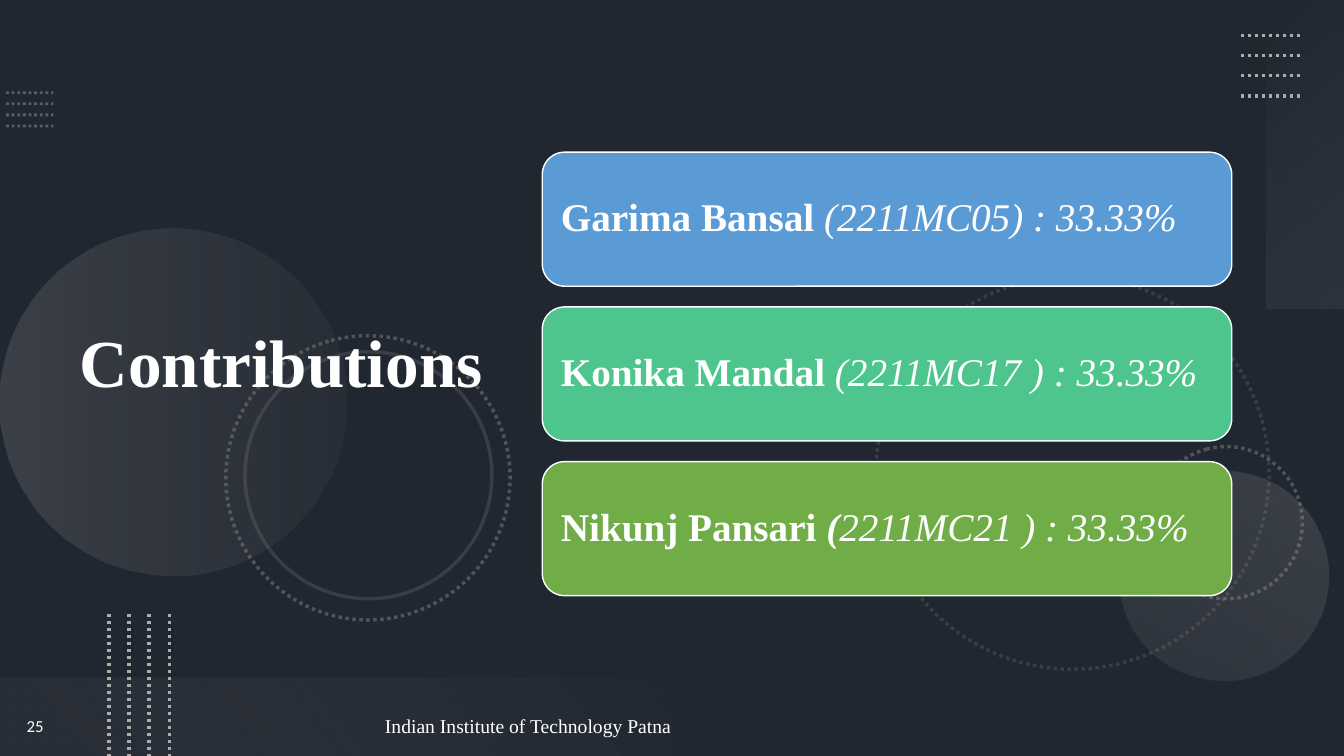
from lxml import etree
from pptx import Presentation
from pptx.dml.color import RGBColor
from pptx.enum.dml import MSO_LINE
from pptx.enum.shapes import MSO_CONNECTOR, MSO_SHAPE
from pptx.enum.text import MSO_ANCHOR, MSO_AUTO_SIZE, PP_ALIGN
from pptx.oxml import parse_xml
from pptx.oxml.ns import nsdecls, qn
from pptx.util import Inches, Pt

RECT, OVAL, ROUND = MSO_SHAPE.RECTANGLE, MSO_SHAPE.OVAL, MSO_SHAPE.ROUNDED_RECTANGLE
DOT, SOLID = MSO_LINE.ROUND_DOT, MSO_LINE.SOLID
LEFT, CENTER = PP_ALIGN.LEFT, PP_ALIGN.CENTER
STRAIGHT = MSO_CONNECTOR.STRAIGHT
WIDE, HIGH = 13.333, 7.5

COLORS = {
    "base": "44546A", "shade": "000000", "white": "FFFFFF",
    "steel": "8497B0", "ash": "AFABAB", "gray": "767171",
    "mist": "F5F5F5", "pearl": "F1F0F0",
    "blue": "5B9BD5", "mint": "4DC58D", "green": "70AD47",
}
SERIF, SANS = "Times New Roman", "Calibri"
BOLD = {"bold": True, "italic": False}
SLANT = {"bold": False, "italic": True}
BOTH = {"bold": True, "italic": True}

TITLE = "Contributions"
FOOTER = "Indian Institute of Technology Patna"
NUMBER = "25"
CARDS = [
    ("blue", [("Garima Bansal ", BOLD), ("(2211MC05) : 33.33%", SLANT)]),
    ("mint", [("Konika Mandal ", BOLD), ("(2211MC17 ) : 33.33%", SLANT)]),
    ("green", [("Nikunj Pansari ", BOLD), ("(", BOTH), ("2211MC21 ) : 33.33%", SLANT)]),
]
CARD_BOX, CARD_STEP = (5.38, 1.51, 6.84, 1.33), 1.535

# left, top, size, dash, opacity
RINGS = [
    (8.69, 2.74, 3.9, DOT, 30),
    (11.41, 4.43, 1.51, DOT, 60),
    (2.24, 3.33, 2.82, DOT, 60),
    (2.43, 3.49, 2.45, SOLID, 30),
]
# shape, box, rotation, angle, stops of (position, color, opacity)
GLOWS = [
    (OVAL, (0, 2.27, 3.44, 3.44), 270, 90, [(0, "ash", 20), (100, "gray", 10)]),
    (OVAL, (11.1, 4.67, 2.08, 2.08), 210, 90, [(0, "ash", 10), (100, "ash", 20)]),
    (RECT, (11.42, 1.14, 3.06, 0.78), 270, 140, [(0, "mist", 0), (100, "ash", 10)]),
    (RECT, (0, 6.72, 6.67, 0.78), 180, 140, [(10, "gray", 10), (100, "pearl", 0)]),
]
# left, top, run (across, down), step (across, down), color, width, opacity
DOTS = [
    (0.06, 0.92, (0.47, 0), (0, 0.11), "steel", 2, 50),
    (12.31, 0.35, (0.6, 0), (0, 0.2), "ash", 2.5, 100),
    (1.08, 6.09, (0, 1.41), (0.2, 0), "ash", 2.5, 100),
]
DOT_ROWS = 4


def rgb(name):
    return RGBColor.from_string(COLORS[name])


def fade(part, share):
    """Set the opacity, in percent, of the solid color inside part."""
    color = next(part.iter(qn("a:srgbClr")))
    etree.SubElement(color, qn("a:alpha")).set("val", str(share * 1000))


def add_form(slide, kind, box, turn=0):
    form = slide.shapes.add_shape(kind, *map(Inches, box))
    form.shadow.inherit = False
    form.rotation = turn
    form.fill.background()
    form.line.fill.background()
    return form


def set_line(line, color, width, dash):
    line.color.rgb = rgb(color)
    line.width = Pt(width)
    line.dash_style = dash


def add_glow(slide, kind, box, turn, angle, stops):
    form = add_form(slide, kind, box, turn)
    marks = "".join(
        f'<a:gs pos="{pos * 1000}"><a:srgbClr val="{COLORS[color]}">'
        f'<a:alpha val="{share * 1000}"/></a:srgbClr></a:gs>'
        for pos, color, share in stops)
    grad = parse_xml(
        f'<a:gradFill {nsdecls("a")} rotWithShape="1"><a:gsLst>{marks}</a:gsLst>'
        f'<a:lin ang="{angle * 60000}" scaled="0"/></a:gradFill>')
    props = form._element.spPr
    props.replace(props.find(qn("a:noFill")), grad)


def add_dots(slide, left, top, run, step, color, width, share):
    for row in range(DOT_ROWS):
        x, y = left + row * step[0], top + row * step[1]
        ends = (x, y, x + run[0], y + run[1])
        line = slide.shapes.add_connector(STRAIGHT, *map(Inches, ends))
        set_line(line.line, color, width, DOT)
        props = line._element.spPr
        fade(props, share)
        etree.SubElement(props, qn("a:effectLst"))


def write(shape, runs, size, face=SERIF, align=LEFT, inset=(0.1, 0.05), space=1.0):
    frame = shape.text_frame
    side, edge = map(Inches, inset)
    look = {"word_wrap": True, "auto_size": MSO_AUTO_SIZE.NONE,
            "vertical_anchor": MSO_ANCHOR.MIDDLE, "margin_left": side,
            "margin_right": side, "margin_top": edge, "margin_bottom": edge}
    for key, value in look.items():
        setattr(frame, key, value)
    para = frame.paragraphs[0]
    para.alignment, para.line_spacing = align, space
    for text, style in runs:
        run = para.add_run()
        run.text = text
        run.font.color.rgb = rgb("white")
        for key, value in {"name": face, "size": Pt(size), **style}.items():
            setattr(run.font, key, value)


def add_backdrop(slide):
    slide.background.fill.solid()
    slide.background.fill.fore_color.rgb = rgb("base")
    veil = add_form(slide, RECT, (0, 0, WIDE, HIGH))
    veil.fill.solid()
    veil.fill.fore_color.rgb = rgb("shade")
    fade(veil._element.spPr, 53)
    for left, top, size, dash, share in RINGS:
        ring = add_form(slide, OVAL, (left, top, size, size), 75)
        set_line(ring.line, "gray", 2.5, dash)
        fade(ring._element.spPr, share)
    for glow in GLOWS:
        add_glow(slide, *glow)
    for dots in DOTS:
        add_dots(slide, *dots)


def add_cards(slide):
    left, top, width, height = CARD_BOX
    for row, (color, runs) in enumerate(CARDS):
        card = add_form(slide, ROUND, (left, top + row * CARD_STEP, width, height))
        card.fill.solid()
        card.fill.fore_color.rgb = rgb(color)
        set_line(card.line, "white", 1, SOLID)
        write(card, runs, 28, inset=(0.12, 0.12), space=0.9)


def main():
    deck = Presentation()
    deck.slide_width, deck.slide_height = Inches(WIDE), Inches(HIGH)
    slide = deck.slides.add_slide(deck.slide_layouts[5])
    add_backdrop(slide)

    title = slide.shapes.title
    title.left, title.top, title.width, title.height = map(Inches, (0.69, 0.54, 4.59, 6.17))
    write(title, [(TITLE, BOLD)], 48, space=0.9)
    slide.shapes._spTree.append(title._element)

    foot = slide.shapes.add_textbox(*map(Inches, (0.69, 6.9, 9.1, 0.6)))
    write(foot, [(FOOTER, {})], 14, align=CENTER)
    page = add_form(slide, OVAL, (0, 6.9, 0.7, 0.6))
    write(page, [(NUMBER, {})], 12, SANS, CENTER, (0, 0))
    add_cards(slide)
    deck.save("out.pptx")


if __name__ == "__main__":
    main()
